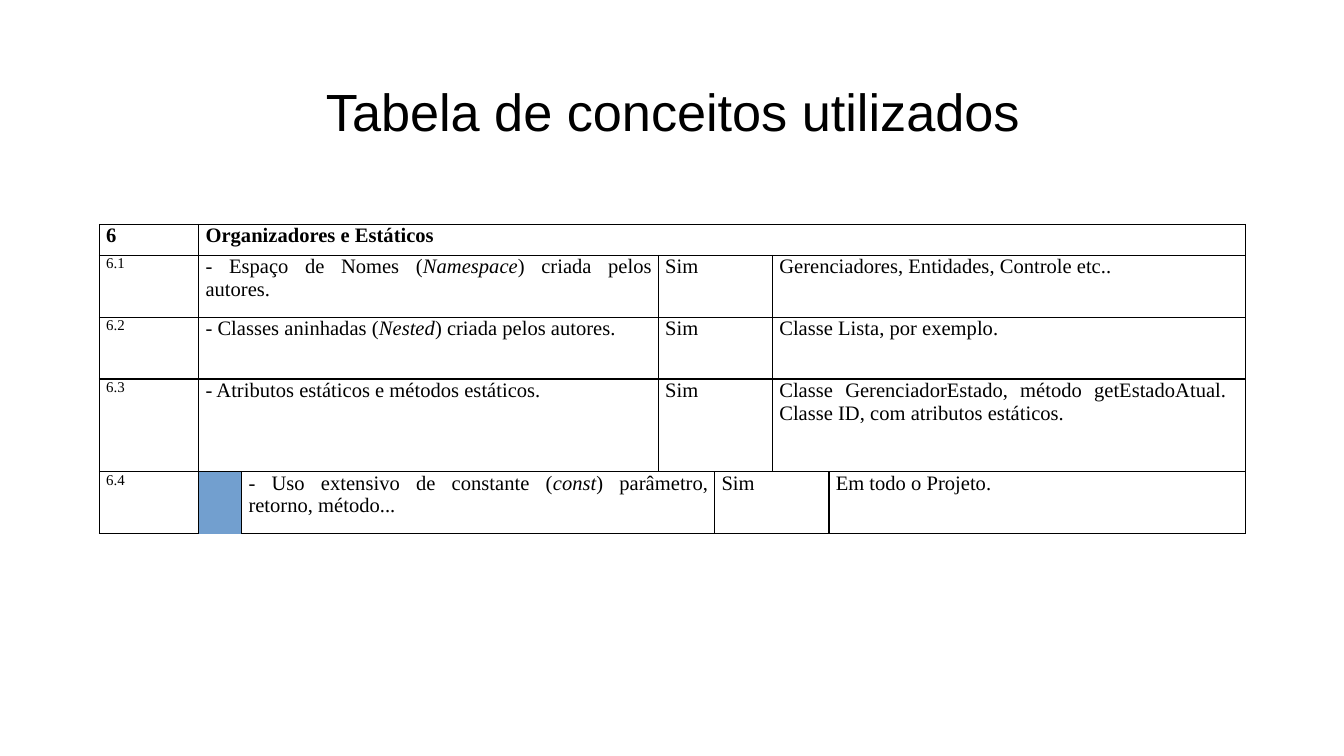
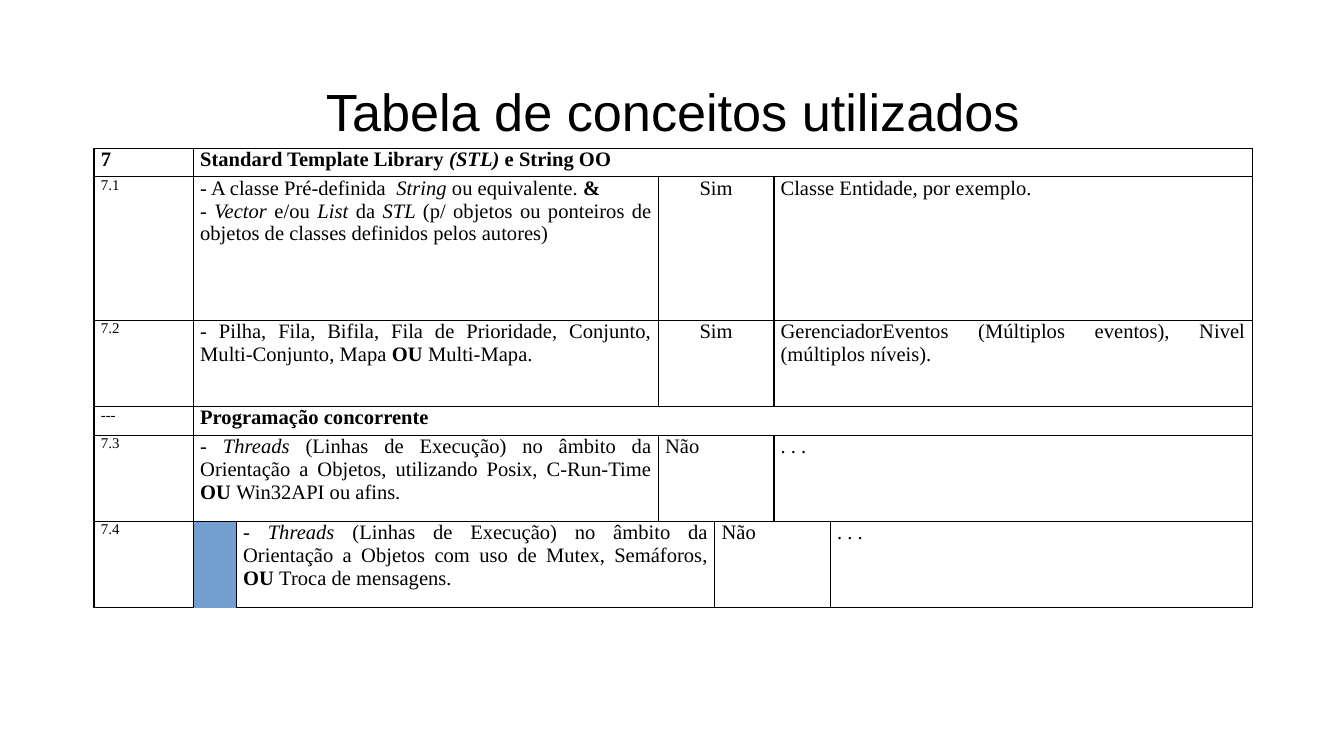
from lxml.etree import SubElement as add_node
from pptx import Presentation
from pptx.dml.color import RGBColor as Rgb
from pptx.enum.text import MSO_ANCHOR as Anchor, PP_ALIGN as Align
from pptx.oxml.ns import qn
from pptx.util import Inches, Pt

COLORS = {"ink": "000000"}
PLAIN_GRID = "{2D5ABB26-0587-4C30-8999-92F81FD0307C}"
TITLE = "Tabela de conceitos utilizados"
SPANS = {2: (2, 6), 4: (2, 2, 2, 2)}

STATIC_ROWS = [
    (1, Align.JUSTIFY, ["|6|", "|Organizadores e Estáticos|"]),
    (2, Align.JUSTIFY, ["6.1", "- Espaço de Nomes (*Namespace*) criada pelos autores.", "Sim",
                        "Gerenciadores, Entidades, Controle etc.."]),
    (2, Align.JUSTIFY, ["6.2", "- Classes aninhadas (*Nested*) criada pelos autores.", "Sim",
                        "Classe Lista, por exemplo."]),
    (3, Align.JUSTIFY, ["6.3", "- Atributos estáticos e métodos estáticos.", "Sim",
                        "Classe GerenciadorEstado, método getEstadoAtual.  "
                        "Classe ID, com atributos estáticos. "]),
    (2, Align.JUSTIFY, ["6.4", "- Uso extensivo de constante (*const*) parâmetro, retorno, método...",
                        "Sim", "Em todo o Projeto."]),
]

LIBRARY_ROWS = [
    (1, Align.JUSTIFY, ["|7|", "|Standard Template Library* (STL) *e String OO|"]),
    (5, Align.CENTER, ["7.1", "- A classe Pré-definida  *String* ou equivalente. |&|\n"
                       "*- Vector* e/ou* List *da* STL *(p/ objetos ou ponteiros de objetos "
                       "de classes definidos pelos autores)",
                       "Sim", "Classe Entidade, por exemplo."]),
    (3, Align.CENTER, ["7.2", "- Pilha, Fila, Bifila, Fila de Prioridade, Conjunto, "
                       "Multi-Conjunto, Mapa |OU |Multi-Mapa.",
                       "Sim", "GerenciadorEventos (Múltiplos eventos), Nivel (múltiplos níveis).  "]),
    (1, Align.JUSTIFY, ["---", "|Programação concorrente|"]),
    (3, Align.LEFT, ["7.3", "*- Threads* (Linhas de Execução) no âmbito da Orientação a Objetos, "
                     "utilizando Posix, C-Run-Time |OU |Win32API ou afins*.*", "Não", ". . ."]),
    (3, Align.LEFT, ["7.4", "*- Threads* (Linhas de Execução) no âmbito da Orientação a Objetos "
                     "com uso de Mutex, Semáforos, |OU |Troca de mensagens.", "Não", ". . ."]),
]


def write(frame, text, font="Times New Roman", size=11, align=Align.JUSTIFY, color="ink"):
    """Fill a text frame, where | toggles bold, * toggles italic and a newline starts a paragraph."""
    for index, line in enumerate(text.split("\n")):
        para = frame.add_paragraph() if index else frame.paragraphs[0]
        para.alignment = align
        for bold, chunk in enumerate(line.split("|")):
            for italic, piece in enumerate(chunk.split("*")):
                if piece:
                    span = para.add_run()
                    span.text = piece
                    span.font.name, span.font.size = font, Pt(size)
                    span.font.bold, span.font.italic = bold % 2 == 1, italic % 2 == 1
                    span.font.color.rgb = Rgb.from_string(COLORS[color])


class Sheet:
    """Holds the deck, its style and the current page, with lengths in percent of the page."""

    def __init__(self):
        self.deck = Presentation()
        self.deck.slide_width, self.deck.slide_height = Inches(10), Inches(5.625)
        self.page = None

    def across(self, percent):
        """Turn a percentage of the page width into a length."""
        return round(self.deck.slide_width * percent / 100)

    def down(self, percent):
        """Turn a percentage of the page height into a length."""
        return round(self.deck.slide_height * percent / 100)

    def start_page(self, title):
        """Add a page with its centred title."""
        self.page = self.deck.slides.add_slide(self.deck.slide_layouts[5])
        box = self.page.shapes.title
        box.left, box.top = self.across(9), self.down(8.7)
        box.width, box.height = self.across(82.1), self.down(18.5)
        frame = box.text_frame
        frame.margin_left = frame.margin_right = Inches(0.1)
        frame.margin_top = frame.margin_bottom = Inches(0.1)
        frame.vertical_anchor, frame.word_wrap = Anchor.TOP, True
        write(frame, title, font="Arial", size=28, align=Align.CENTER)

    def style_cell(self, cell):
        """Give a cell thin borders, narrow margins and no fill."""
        cell.margin_left = cell.margin_right = Inches(0.05)
        cell.margin_top = cell.margin_bottom = 0
        for side in ("a:lnL", "a:lnR", "a:lnT", "a:lnB"):
            edge = add_node(cell._tc.get_or_add_tcPr(), qn(side), w=str(Pt(0.75)))
            add_node(add_node(edge, qn("a:solidFill")), qn("a:srgbClr"), val=COLORS["ink"])
        cell.fill.background()

    def concept_table(self, rows, left, top, line, columns):
        """Add a table whose row heights are whole numbers of lines."""
        widths = [self.across(column) for column in columns]
        heights = [self.down(line * lines) for lines, _, _ in rows]
        table = self.page.shapes.add_table(len(rows), len(columns), self.across(left),
                                           self.down(top), sum(widths), sum(heights)).table
        table.first_row = table.horz_banding = False
        table._tbl.tblPr.find(qn("a:tableStyleId")).text = PLAIN_GRID
        for column, width in zip(table.columns, widths):
            column.width = width
        for index, (_, answer_align, texts) in enumerate(rows):
            table.rows[index].height = heights[index]
            start = 0
            for position, (text, reach) in enumerate(zip(texts, SPANS[len(texts)])):
                cell = table.cell(index, start)
                cell.merge(table.cell(index, start + reach - 1))
                self.style_cell(cell)
                write(cell.text_frame, text,
                      size=8 if position == 0 and "|" not in text else 11,
                      align=answer_align if position == 2 else Align.JUSTIFY)
                start += reach


def main():
    """Build both pages and save the deck."""
    sheet = Sheet()
    sheet.start_page(TITLE)
    sheet.concept_table(STATIC_ROWS, left=7.4, top=29.7, line=4.09,
                        columns=(3.2, 4.2, 3.2, 31, 4.2, 4.3, 4.2, 31))
    sheet.start_page(TITLE)
    sheet.concept_table(LIBRARY_ROWS, left=7, top=19.6, line=3.8,
                        columns=(3.2, 4.2, 3.2, 31.4, 4.2, 4.4, 4.2, 31.4))
    sheet.deck.save("out.pptx")


if __name__ == "__main__":
    main()
